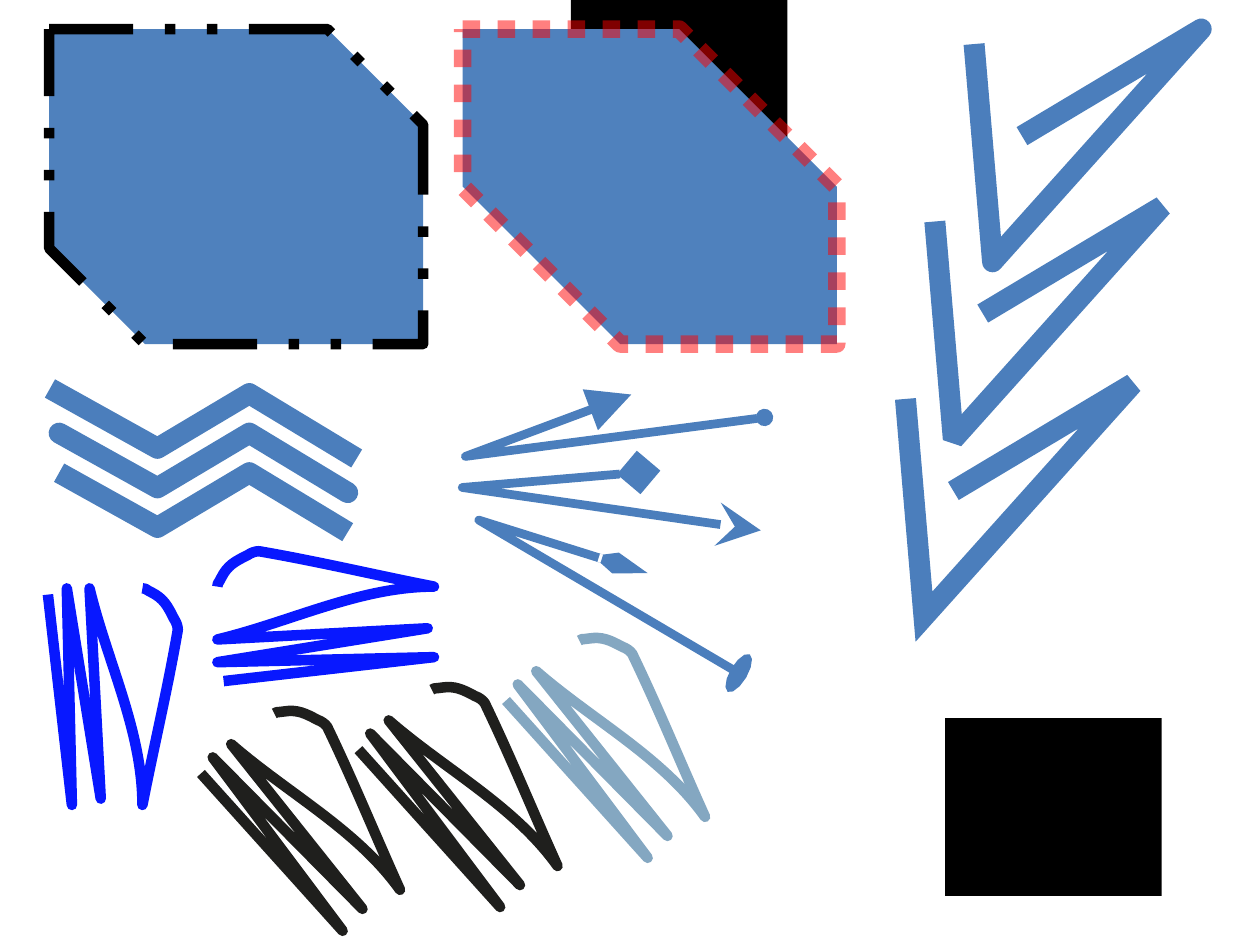
"""Build a slide that shows line dashes, joins, caps, arrowheads and scribbles."""
from lxml import etree
from pptx import Presentation
from pptx.dml.color import RGBColor
from pptx.enum.dml import MSO_LINE
from pptx.enum.shapes import MSO_SHAPE
from pptx.oxml.ns import qn
from pptx.util import Pt

RECTANGLE = MSO_SHAPE.RECTANGLE
SNIPPED = MSO_SHAPE.SNIP_2_DIAG_RECTANGLE
DASH_DOT_DOT = MSO_LINE.DASH_DOT_DOT
DOT = MSO_LINE.ROUND_DOT
BLANK_LAYOUT = 6

COLORS = {
    "black": "000000",
    "fill": "4F81BD",
    "stroke": "4B7EBC",
    "red": "FF0000",
    "blue": "0818FF",
    "charcoal": "1F1F1D",
    "mist": "84A7C1",
}

VEE = [(27.4, 61.2), (129.8, 0), (10.6, 133), (0, 8.6)]
ZIGZAG = [(0, 0), (56.2, 31.3), (108.7, 0), (164.9, 34)]
ARROW = [(100.8, 0), (0, 8.6), (170.6, 33.1)]
SCRIBBLE = [(0, 3.6), (13.7, 123.8), (10.8, 0), (30.2, 120.2), (23.8, 0)]
SCRIBBLE_CURVES = [
    (33.8, 41.8), (54, 81.4), (54, 123.8),
    (60.5, 90.7), (68.4, 57.6), (74.2, 23.8),
    (74.2, 21.6), (73.4, 19.4), (72, 17.3),
    (68.4, 10.1), (66.2, 5.8), (59, 2.2),
    (54.7, 0), (56.2, 0), (54, 0),
]


def rgb(name):
    """Return the named colour."""
    return RGBColor.from_string(COLORS[name])


def style_line(shape, color, join="round", cap="flat", ends=(), alpha=None, **formats):
    """Set the colour, formats, join, cap and arrowheads of an outline."""
    shape.line.color.rgb = rgb(color)
    for name, value in formats.items():
        setattr(shape.line, name, value)
    line = shape.element.spPr.get_or_add_ln()
    line.set("cap", cap)
    corner = etree.SubElement(line, qn(f"a:{join}"))
    if join == "miter":
        corner.set("lim", "800000")
    for tag, (kind, width, length) in zip(("headEnd", "tailEnd"), ends):
        etree.SubElement(line, qn(f"a:{tag}"), type=kind, w=width, len=length)
    if alpha:
        color_element = line.find(".//" + qn("a:srgbClr"))
        etree.SubElement(color_element, qn("a:alpha"), val=str(alpha * 1000))


def add_filled(slide, kind, left, top, width, height, color):
    """Add a preset shape with a plain fill and no outline."""
    shape = slide.shapes.add_shape(kind, Pt(left), Pt(top), Pt(width), Pt(height))
    shape.shadow.inherit = False
    shape.fill.solid()
    shape.fill.fore_color.rgb = rgb(color)
    shape.line.fill.background()
    return shape


def add_snipped(slide, left, snip, color, **line_format):
    """Add a rectangle with two snipped corners and a dashed outline."""
    shape = add_filled(slide, SNIPPED, left, 16.6, 213.8, 180, "fill")
    shape.adjustments[0] = 0
    shape.adjustments[1] = snip
    style_line(shape, color, **line_format)


def bend(shape, first):
    """Merge each three segments from the given one on into a Bézier curve."""
    path = shape.element.find(".//" + qn("a:path"))
    segments = path.findall(qn("a:lnTo"))[first:]
    for start in range(0, len(segments), 3):
        curve = etree.SubElement(path, qn("a:cubicBezTo"))
        for segment in segments[start:start + 3]:
            curve.append(segment[0])
            path.remove(segment)


def add_stroke(slide, points, left, top, rotation=0, color="stroke", **line_format):
    """Add an open, unfilled outline through the points."""
    corners = [(Pt(x), Pt(y)) for x, y in points]
    builder = slide.shapes.build_freeform(*corners[0], scale=1.0)
    builder.add_line_segments(corners[1:], close=False)
    shape = builder.convert_to_shape(Pt(left), Pt(top))
    shape.rotation = rotation
    shape.shadow.inherit = False
    shape.fill.background()
    style_line(shape, color, **line_format)
    return shape


def add_scribble(slide, left, top, rotation, color):
    """Add one handwritten scribble."""
    shape = add_stroke(slide, SCRIBBLE + SCRIBBLE_CURVES, left, top, rotation, color, width=Pt(6))
    bend(shape, len(SCRIBBLE) - 1)


def main():
    """Build and save the slide."""
    presentation = Presentation()
    presentation.slide_width, presentation.slide_height = Pt(720), Pt(540)
    slide = presentation.slides.add_slide(presentation.slide_layouts[BLANK_LAYOUT])

    add_filled(slide, RECTANGLE, 326.2, 0, 123.8, 101.5, "black")
    add_snipped(slide, 28.1, 0.304, "black", width=Pt(6), dash_style=DASH_DOT_DOT)
    add_snipped(slide, 264.4, 0.5, "red", alpha=50, width=Pt(10), dash_style=DOT)

    for row, (left, join) in enumerate([(556.6, "round"), (534.2, "bevel"), (517.4, "miter")]):
        add_stroke(slide, VEE, left, 16.6 + 101.4 * row, join=join, width=Pt(12))

    for row, cap in enumerate(("sq", "rnd", "flat")):
        add_stroke(slide, ZIGZAG, 33.8, 224.9 + 22.6 * row, cap=cap, width=Pt(12))

    arrows = [
        (265, 229, 344.4, ("triangle", "lg", "lg"), ("oval", "sm", "sm")),
        (264.2, 270, 0, ("diamond", "lg", "lg"), ("stealth", "lg", "lg")),
        (264.2, 320.4, 22.3, ("arrow", "sm", "lg"), ("oval", "lg", "sm")),
    ]
    for left, top, rotation, *ends in arrows:
        add_stroke(slide, ARROW, left, top, rotation, ends=ends, width=Pt(5))

    scribbles = [
        (27.4, 336.2, 0, "blue"),
        (149, 290.2, 270, "blue"),
        (141.8, 406, 324.5, "charcoal"),
        (231.8, 392.4, 324.5, "charcoal"),
        (316.1, 364.3, 324.5, "mist"),
    ]
    for scribble in scribbles:
        add_scribble(slide, *scribble)

    add_filled(slide, RECTANGLE, 540, 410.4, 123.8, 101.5, "black")
    presentation.save("out.pptx")


if __name__ == "__main__":
    main()
